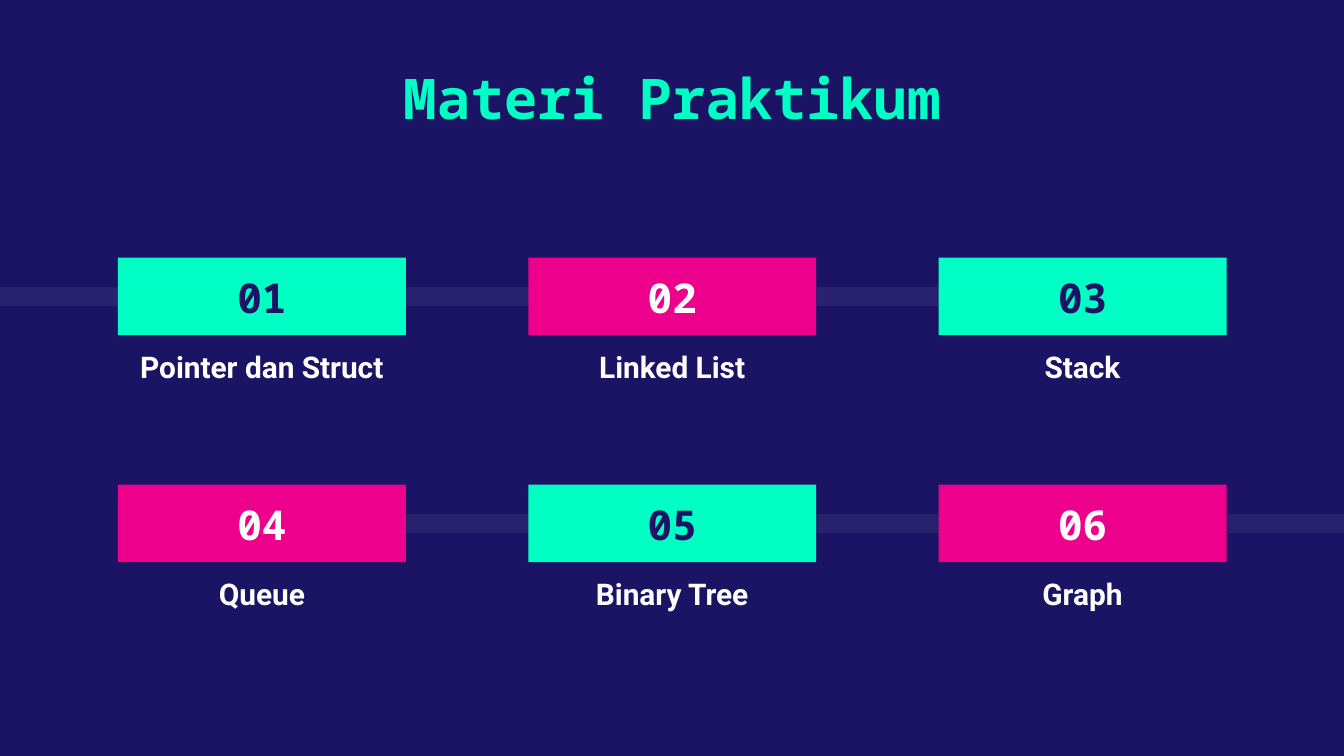
from dataclasses import dataclass

from lxml import etree
from pptx import Presentation
from pptx.dml.color import RGBColor
from pptx.enum.shapes import MSO_SHAPE
from pptx.enum.text import MSO_ANCHOR, PP_ALIGN
from pptx.oxml.ns import qn
from pptx.util import Pt

RECT = MSO_SHAPE.RECTANGLE
TOP, BOTTOM = MSO_ANCHOR.TOP, MSO_ANCHOR.BOTTOM
CENTER = PP_ALIGN.CENTER


@dataclass(frozen=True)
class Theme:
    navy: RGBColor = RGBColor(0x1B, 0x14, 0x64)
    mint: RGBColor = RGBColor(0x00, 0xFF, 0xC5)
    pink: RGBColor = RGBColor(0xEC, 0x00, 0x8C)
    white: RGBColor = RGBColor(0xFF, 0xFF, 0xFF)
    mono: str = "Noto Sans Mono"
    sans: str = "Roboto"
    title: int = 30
    number: int = 22
    label: int = 16


T = Theme()


def write(shape, text, font, size, color, anchor=TOP):
    tf = shape.text_frame
    tf.text = text
    tf.word_wrap = True
    tf.vertical_anchor = anchor
    tf.margin_left = tf.margin_right = tf.margin_top = tf.margin_bottom = Pt(7.2)
    p = tf.paragraphs[0]
    p.alignment = CENTER
    r = p.runs[0]
    r.font.name, r.font.size, r.font.bold = font, Pt(size), True
    r.font.color.rgb = color


def add_rect(s, left, top, width, height, color):
    sp = s.shapes.add_shape(RECT, Pt(left), Pt(top), Pt(width), Pt(height))
    sp.shadow.inherit = False
    sp.fill.solid()
    sp.fill.fore_color.rgb = color
    sp.line.fill.background()
    return sp


prs = Presentation()
prs.slide_width, prs.slide_height = Pt(720), Pt(405)
s = prs.slides.add_slide(prs.slide_layouts[5])
s.background.fill.solid()
s.background.fill.fore_color.rgb = T.navy

# Grid
BOX_LEFT, BOX_TOP, BOX_W, BOX_H = 63.2, 138, 154.3, 41.6
COL_STEP, ROW_STEP = 219.8, 121.6
LABEL_W, LABEL_H = 149, 52.6
BAR_H = 10.2

# Translucent bars behind each row
for row, (left, width) in enumerate([(0, 613.4), (73.4, 646.6)]):
    top = BOX_TOP + row * ROW_STEP + (BOX_H - BAR_H) / 2
    bar = add_rect(s, left, top, width, BAR_H, T.white)
    rgb = bar.fill._xPr.find(".//" + qn("a:srgbClr"))
    etree.SubElement(rgb, qn("a:alpha")).set("val", "6000")

# Title
title = s.shapes.title
title.left, title.top, title.width, title.height = Pt(100.8), Pt(26.6), Pt(518.4), Pt(52.6)
write(title, "Materi Praktikum", T.mono, T.title, T.mint)

# Numbered topics, colours alternating
topics = ["Pointer dan Struct", "Linked List", "Stack", "Queue", "Binary Tree", "Graph"]
for i, topic in enumerate(topics):
    row, col = divmod(i, 3)
    left, top = BOX_LEFT + col * COL_STEP, BOX_TOP + row * ROW_STEP
    fill, ink = [(T.mint, T.navy), (T.pink, T.white)][i % 2]
    box = add_rect(s, left, top, BOX_W, BOX_H, fill)
    write(box, f"{i + 1:02d}", T.mono, T.number, ink, BOTTOM)

    label = s.shapes.add_textbox(Pt(left + (BOX_W - LABEL_W) / 2), Pt(top + BOX_H),
                                 Pt(LABEL_W), Pt(LABEL_H))
    write(label, topic, T.sans, T.label, T.white)

prs.save("out.pptx")
